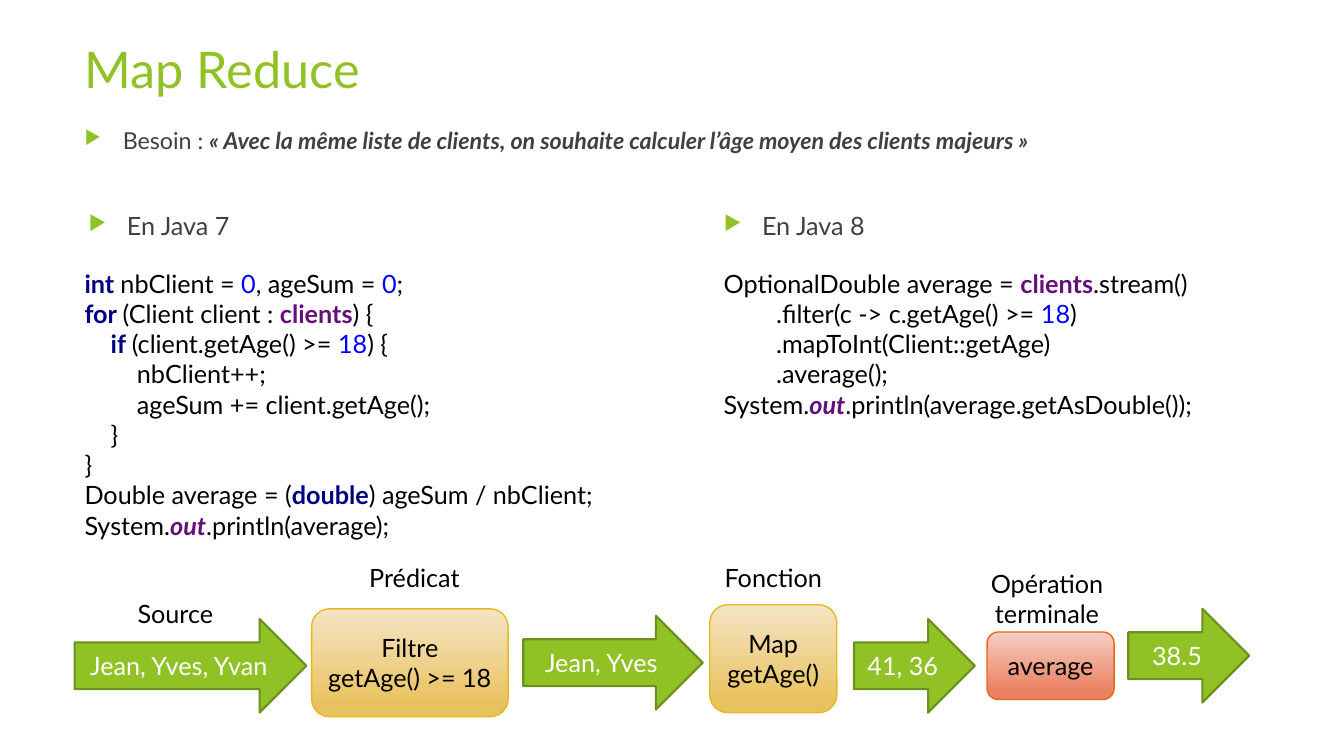
from lxml import etree
from pptx import Presentation
from pptx.dml.color import RGBColor
from pptx.enum import shapes, text
from pptx.oxml.ns import qn
from pptx.util import Inches, Pt

hues = {
    "green": "90C226", "edge": "6B901C", "gray": "404040",
    "black": "000000", "white": "FFFFFF", "navy": "000080",
    "blue": "0000FF", "plum": "660E7A",
    "sand": "F5E5C5", "gold": "E9C260", "rim": "E6B91E",
    "blush": "F5CEC5", "coral": "EA815F", "rust": "E76618",
}
rgb = {name: RGBColor.from_string(code) for name, code in hues.items()}
styles = {
    "base": {},
    "quote": {"bold": True, "italic": True},
    "key": {"bold": True, "color": "navy"},
    "num": {"color": "blue"},
    "field": {"bold": True, "color": "plum"},
    "static": {"bold": True, "italic": True, "color": "plum"},
}
step = 0.26

deck = Presentation()
deck.slide_width, deck.slide_height = Inches(13.33), Inches(7.5)
slide = deck.slides.add_slide(deck.slide_layouts[6])


def write(frame, lines, color="black", size=18, align=text.PP_ALIGN.LEFT):
    for i, (level, runs) in enumerate(lines):
        para = frame.paragraphs[0] if i == 0 else frame.add_paragraph()
        para.alignment = align
        if level:
            para._p.get_or_add_pPr().set("marL", str(Inches(level * step)))
        for words, style in runs:
            run = para.add_run()
            run.text = words
            look = {"name": "Lato", "size": Pt(size), "color": color} | styles[style]
            run.font.color.rgb = rgb[look.pop("color")]
            for key, value in look.items():
                setattr(run.font, key, value)


def label(place, lines, wrap=True, **look):
    box = slide.shapes.add_textbox(*map(Inches, place))
    box.text_frame.word_wrap = wrap
    write(box.text_frame, lines, **look)
    return box


label((0.74, 0.33, 9.4, 0.89), [(0, [("Map Reduce", "base")])], color="green", size=36)

quote = "«\u00a0Avec la même liste de clients, on souhaite calculer l’âge moyen des clients majeurs\u00a0»"
points = [
    ((0.74, 1.2, 11.33, 0.57), 16.6, [("Besoin : ", "base"), (quote, "quote")]),
    ((0.78, 2.04, 2.31, 0.57), 18, [("En Java 7", "base")]),
    ((7.08, 2.04, 2.31, 0.57), 18, [("En Java 8", "base")]),
]
for place, size, runs in points:
    box = label(place, [(0, runs)], color="gray", size=size)
    props = box.text_frame.paragraphs[0]._p.get_or_add_pPr()
    props.set("marL", str(Inches(0.38)))
    props.set("indent", str(Inches(-0.38)))
    tint = etree.SubElement(props, qn("a:buClr"))
    etree.SubElement(tint, qn("a:srgbClr"), val=hues["green"])
    etree.SubElement(props, qn("a:buSzPct"), val="80000")
    etree.SubElement(props, qn("a:buChar"), char="▶")

old = [
    (0, [("int ", "key"), ("nbClient = ", "base"), ("0", "num"),
         (", ageSum = ", "base"), ("0", "num"), (";", "base")]),
    (0, [("for ", "key"), ("(Client client : ", "base"),
         ("clients", "field"), (") {", "base")]),
    (1, [("if ", "key"), ("(client.getAge() >= ", "base"),
         ("18", "num"), (") {", "base")]),
    (2, [("nbClient++;", "base")]),
    (2, [("ageSum += client.getAge();", "base")]),
    (1, [("}", "base")]),
    (0, [("}", "base")]),
    (0, [("Double average = (", "base"), ("double", "key"),
         (") ageSum / nbClient;", "base")]),
    (0, [("System.", "base"), ("out", "static"), (".println(average);", "base")]),
]
new = [
    (0, [("OptionalDouble average = ", "base"), ("clients", "field"),
         (".stream()", "base")]),
    (2, [(".filter(c -> c.getAge() >= ", "base"), ("18", "num"), (")", "base")]),
    (2, [(".mapToInt(Client::getAge)", "base")]),
    (2, [(".average();", "base")]),
    (0, [("System.", "base"), ("out", "static"),
         (".println(average.getAsDouble());", "base")]),
]
label((0.74, 2.61, 5.8, 2.83), old)
label((7.08, 2.61, 6.2, 1.62), new)

arrow = shapes.MSO_SHAPE.RIGHT_ARROW
card = shapes.MSO_SHAPE.ROUNDED_RECTANGLE
kinds = {
    "data": (arrow, ["green"], "edge", 1.5, "white"),
    "stage": (card, ["sand", "gold"], "rim", 1, "black"),
    "final": (card, ["blush", "coral"], "rust", 1, "black"),
}
flow = [
    ("data", (0.74, 6.14, 2.3, 0.93), ["Jean, Yves, Yvan"]),
    ("stage", (3.09, 6.04, 1.95, 1.07), ["Filtre", "getAge() >= 18"]),
    ("data", (5.19, 6.11, 1.78, 0.93), ["Jean, Yves"]),
    ("stage", (7.04, 6, 1.26, 1.07), ["Map", "getAge()"]),
    ("data", (8.47, 6.14, 1.2, 0.93), ["41, 36"]),
    ("final", (9.79, 6.27, 1.26, 0.67), ["average"]),
    ("data", (11.19, 6.04, 1.2, 0.93), ["38.5"]),
]
for kind, place, words in flow:
    form, fills, rim, width, ink = kinds[kind]
    node = slide.shapes.add_shape(form, *map(Inches, place))
    node.shadow.inherit = False
    if len(fills) == 1:
        node.fill.solid()
        node.fill.fore_color.rgb = rgb[fills[0]]
    else:
        node.fill.gradient()
        node.fill.gradient_angle = 270
        for stop, name, spot in zip(node.fill.gradient_stops, fills, (0, 0.88)):
            stop.color.rgb = rgb[name]
            stop.position = spot
    node.line.color.rgb = rgb[rim]
    node.line.width = Pt(width)
    node.text_frame.word_wrap = True
    node.text_frame.vertical_anchor = text.MSO_ANCHOR.MIDDLE
    write(node.text_frame, [(0, [(word, "base")]) for word in words],
          color=ink, align=text.PP_ALIGN.CENTER)

heads = [
    ((1.26, 5.89, 0.96, 0.4), ["Source"]),
    ((3.54, 5.53, 1.14, 0.4), ["Prédicat"]),
    ((7.08, 5.53, 1.18, 0.4), ["Fonction"]),
    ((9.72, 5.59, 1.33, 0.71), ["Opération", "terminale"]),
]
for place, words in heads:
    label(place, [(0, [(word, "base")]) for word in words],
          wrap=False, align=text.PP_ALIGN.CENTER)

deck.save("out.pptx")
